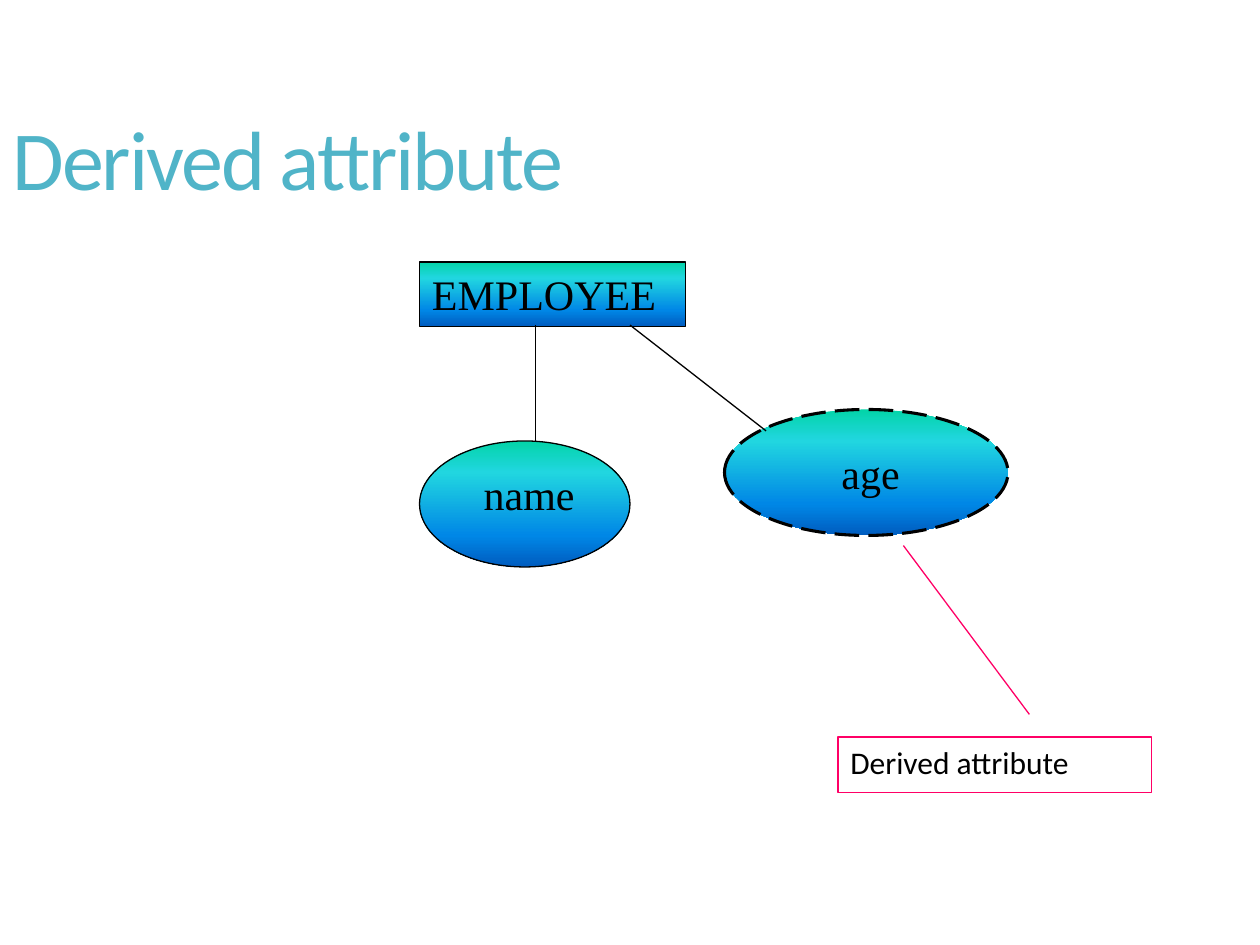
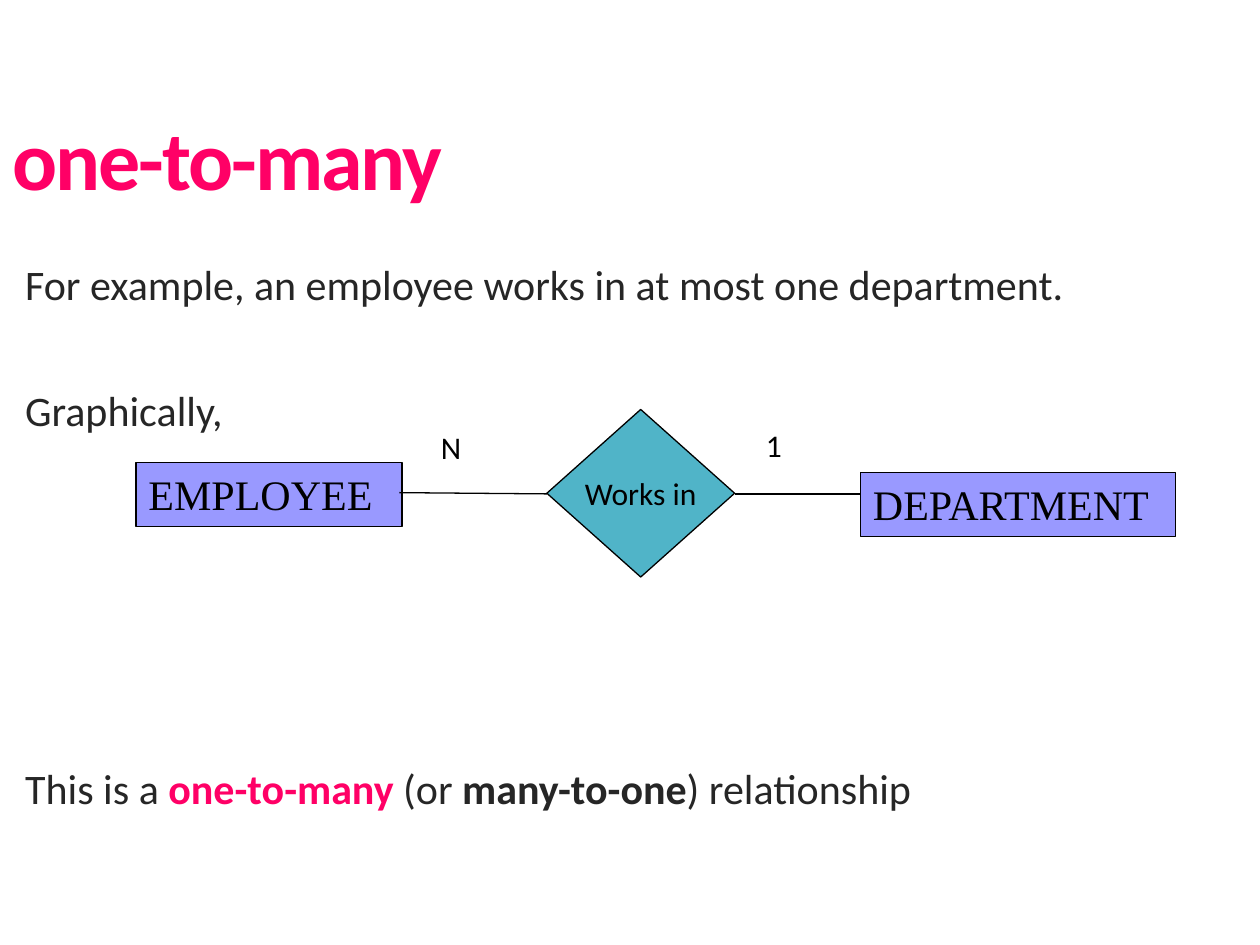
"""Builds two slides on entity-relationship diagrams: a derived attribute and a one-to-many link."""
import copy

import lxml.etree
import pptx
import pptx.util
import pptx.dml.color
import pptx.enum.dml
import pptx.enum.shapes
import pptx.enum.text
import pptx.oxml.ns

Inches, Pt = pptx.util.Inches, pptx.util.Pt
RGBColor = pptx.dml.color.RGBColor
Align, Anchor = pptx.enum.text.PP_ALIGN, pptx.enum.text.MSO_ANCHOR
Shape = pptx.enum.shapes.MSO_SHAPE

BLACK = RGBColor(0x00, 0x00, 0x00)
CHARCOAL = RGBColor(0x26, 0x26, 0x26)
TEAL = RGBColor(0x50, 0xB4, 0xC8)
PINK = RGBColor(0xFF, 0x00, 0x66)
LILAC = RGBColor(0x99, 0x99, 0xFF)
OCEAN = [
    (0, RGBColor(0x03, 0xD4, 0xA8)),
    (0.25, RGBColor(0x21, 0xD6, 0xE0)),
    (0.75, RGBColor(0x00, 0x87, 0xE6)),
    (1, RGBColor(0x00, 0x5C, 0xBF)),
]
SANS, SERIF = "Calibri", "Times New Roman"
ENTITY_FONT, NOTE_FONT = (SERIF, 24), (SANS, 18)

DERIVED = {
    "title": ("Derived attribute", TEAL, False),
    "statements": [],
    "nodes": [
        {"kind": Shape.OVAL, "at": (3.33, 3.5, 1.67, 1), "fill": OCEAN},
        {"kind": Shape.OVAL, "at": (5.75, 3.25, 2.25, 1), "fill": OCEAN, "dashed": True},
        {"kind": Shape.RECTANGLE, "at": (3.33, 2.08, 2.11, 0.51), "fill": OCEAN,
         "text": "EMPLOYEE", "font": ENTITY_FONT},
        {"kind": Shape.RECTANGLE, "at": (6.65, 5.85, 2.49, 0.44), "line": PINK,
         "text": "Derived attribute", "font": NOTE_FONT},
    ],
    "labels": [
        ("name", (3.74, 3.67, 0.92, 0.5), ENTITY_FONT),
        ("age", (6.58, 3.5, 0.66, 0.5), ENTITY_FONT),
    ],
    "links": [
        ((4.25, 3.5), (4.25, 2.58), BLACK),
        ((6.08, 3.42), (5, 2.58), BLACK),
        ((7.17, 4.33), (8.17, 5.67), PINK),
    ],
}
ONE_TO_MANY = {
    "title": ("one-to-many", PINK, True),
    "statements": [
        (0, [("For example, an employee works in at most one department.", CHARCOAL, False)]),
        (49, [("Graphically,", CHARCOAL, False)]),
        (193, [("This is a ", CHARCOAL, False), ("one-to-many ", PINK, True),
               ("(or", CHARCOAL, False), (" many-to-one", CHARCOAL, True),
               (") relationship", CHARCOAL, False)]),
    ],
    "nodes": [
        {"kind": Shape.RECTANGLE, "at": (1.08, 3.67, 2.11, 0.51), "fill": LILAC,
         "text": "EMPLOYEE", "font": ENTITY_FONT},
        {"kind": Shape.RECTANGLE, "at": (6.83, 3.75, 2.5, 0.51), "fill": LILAC,
         "text": "DEPARTMENT", "font": ENTITY_FONT},
        {"kind": Shape.DIAMOND, "at": (4.34, 3.25, 1.49, 1.33), "fill": TEAL,
         "text": "Works in", "font": NOTE_FONT},
    ],
    "labels": [
        ("N", (3.4, 3.35, 0.4, 0.43), NOTE_FONT),
        ("1", (5.98, 3.33, 0.36, 0.43), NOTE_FONT),
    ],
    "links": [
        ((3.17, 3.91), (4.34, 3.92), BLACK),
        ((5.83, 3.92), (6.83, 3.92), BLACK),
    ],
}


def inches(values):
    return [Inches(value) for value in values]


def add_span(para, text, font, color=BLACK, bold=False):
    span = para.add_run()
    span.text = text
    span.font.name, size = font
    span.font.size = Pt(size)
    span.font.color.rgb = color
    span.font.bold = bold
    return span


def set_title(page, text, color, bold):
    title = page.shapes.title
    title.left, title.top, title.width, title.height = inches((0, 0.67, 9, 1.25))
    frame = title.text_frame
    frame.auto_size = pptx.enum.text.MSO_AUTO_SIZE.NONE
    frame.vertical_anchor = Anchor.MIDDLE
    para = frame.paragraphs[0]
    para.alignment = Align.LEFT
    para.line_spacing = 0.9
    span = add_span(para, text, (SANS, 48), color, bold)
    span._r.get_or_add_rPr().set("spc", "-120")


def add_statements(page, statements):
    frame = page.shapes.add_textbox(*inches((0, 2.08, 9, 4.62))).text_frame
    frame.word_wrap = True
    frame.margin_left = Inches(0.2)
    for index, (space, spans) in enumerate(statements):
        para = frame.add_paragraph() if index else frame.paragraphs[0]
        para.line_spacing = 0.8
        para.space_before = Pt(space)
        for text, color, bold in spans:
            add_span(para, text, (SANS, 24), color, bold)


def paint(shape, fill):
    if fill is None:
        shape.fill.background()
    elif isinstance(fill, RGBColor):
        shape.fill.solid()
        shape.fill.fore_color.rgb = fill
    else:
        shape.fill.gradient()
        shape.fill.gradient_angle = 270
        stop_list = shape._element.spPr.find(".//" + pptx.oxml.ns.qn("a:gsLst"))
        while len(stop_list) < len(fill):
            stop_list.append(copy.deepcopy(stop_list[0]))
        for stop, (position, color) in zip(shape.fill.gradient_stops, fill):
            stop.position = position
            stop.color.rgb = color


def add_node(page, node):
    shape = page.shapes.add_shape(node["kind"], *inches(node["at"]))
    shape.shadow.inherit = False
    paint(shape, node.get("fill"))
    shape.line.color.rgb = node.get("line", BLACK)
    shape.line.width = Pt(0.75)
    if node.get("dashed"):
        shape.line.width = Pt(1.75)
        shape.line.dash_style = pptx.enum.dml.MSO_LINE.LONG_DASH
    if "text" in node:
        is_diamond = node["kind"] == Shape.DIAMOND
        frame = shape.text_frame
        frame.word_wrap = not is_diamond
        frame.vertical_anchor = Anchor.MIDDLE if is_diamond else Anchor.TOP
        para = frame.paragraphs[0]
        para.alignment = Align.CENTER if is_diamond else Align.LEFT
        add_span(para, node["text"], node["font"])


def add_label(page, text, at, font):
    frame = page.shapes.add_textbox(*inches(at)).text_frame
    frame.word_wrap = False
    add_span(frame.paragraphs[0], text, font)


def add_link(page, start, end, color):
    link = page.shapes.add_connector(
        pptx.enum.shapes.MSO_CONNECTOR.STRAIGHT, *inches(start + end))
    link.line.color.rgb = color
    link.line.width = Pt(0.75)
    lxml.etree.SubElement(link._element.spPr, pptx.oxml.ns.qn("a:effectLst"))


def add_page(deck, content):
    page = deck.slides.add_slide(deck.slide_layouts.get_by_name("Title Only"))
    set_title(page, *content["title"])
    if content["statements"]:
        add_statements(page, content["statements"])
    for node in content["nodes"]:
        add_node(page, node)
    for label in content["labels"]:
        add_label(page, *label)
    for link in content["links"]:
        add_link(page, *link)


def main():
    deck = pptx.Presentation()
    deck.slide_width, deck.slide_height = Inches(10), Inches(7.5)
    for content in (DERIVED, ONE_TO_MANY):
        add_page(deck, content)
    deck.save("out.pptx")


if __name__ == "__main__":
    main()
